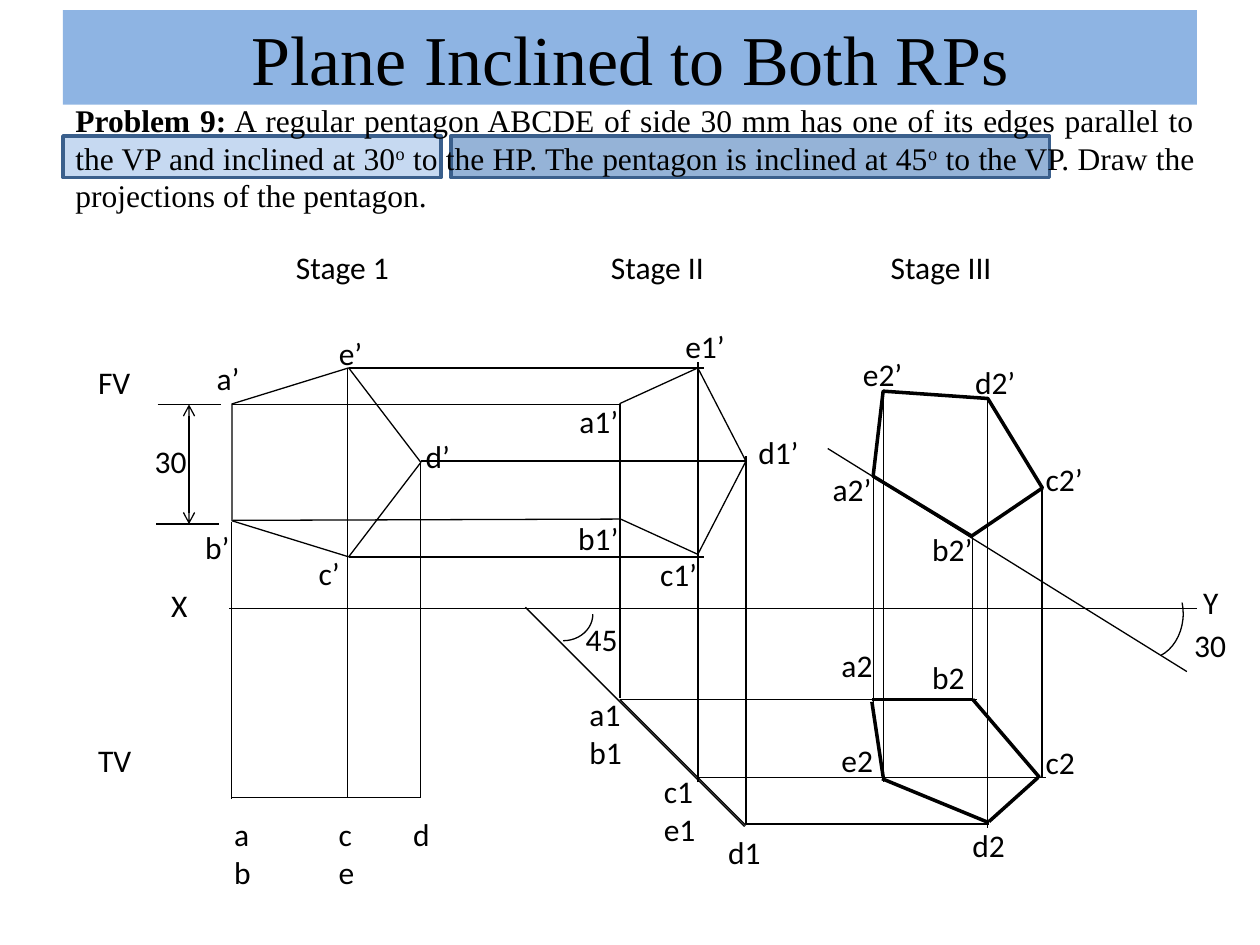
from lxml import etree
from pptx import Presentation
from pptx.dml.color import RGBColor
from pptx.enum import shapes, text
from pptx.oxml import ns
from pptx.util import Inches, Pt

THEME = {
    "ink": "000000", "banner": "8EB4E3", "outline": "3A5F8C",
    "pale": "C6D9F1", "deep": "95B3D7",
    "serif": "Times New Roman", "sans": "Calibri",
    "title": 40, "body": 18, "thin": 0.75, "thick": 2,
}

TITLE = "Plane Inclined to Both RPs"
PROBLEM = [
    ("Problem 9:", "bold"),
    (" A regular pentagon ABCDE of side 30 mm has one of its edges parallel "
     "to the VP and inclined at 30", ""),
    ("o", "raised"),
    (" to the HP. The pentagon is inclined at 45", ""),
    ("o", "raised"),
    (" to the VP. Draw the projections of the pentagon.", ""),
]
HIGHLIGHTS = [(0.5, 3, "pale"), (3.58, 4.75, "deep")]

LABELS = [
    ("Stage 1", 2.25, 1.92, 0.95), ("Stage II", 4.75, 1.92, 0.95),
    ("Stage III", 6.97, 1.92, 1.01),
    ("FV", 0.68, 2.83, 0.46), ("TV", 0.68, 5.83, 0.47),
    ("X", 1.26, 4.6, 0.56), ("Y", 9.45, 4.58, 0.55),
    ("30", 1.13, 3.46, 0.46), ("45", 4.55, 4.87, 0.52), ("30", 9.38, 4.92, 0.46),
    ("a’", 1.62, 2.8, 0.39), ("b’", 1.53, 4.14, 0.4), ("c’", 2.43, 4.35, 0.37),
    ("d’", 3.28, 3.42, 0.4), ("e’", 2.59, 2.6, 0.39),
    ("a1’", 4.5, 3.14, 0.51), ("b1’", 4.49, 4.07, 0.53), ("c1’", 5.14, 4.36, 0.5),
    ("d1’", 5.92, 3.39, 0.53), ("e1’", 5.34, 2.55, 0.52),
    ("a2’", 6.51, 3.68, 0.51), ("b2’", 7.3, 4.16, 0.53), ("c2’", 8.2, 3.6, 0.5),
    ("d2’", 7.64, 2.83, 0.53), ("e2’", 6.75, 2.77, 0.52),
    ("a2", 6.58, 5.08, 0.45), ("b2", 7.3, 5.17, 0.46), ("c2", 8.2, 5.85, 0.44),
    ("d2", 7.62, 6.51, 0.46), ("e2", 6.58, 5.83, 0.46),
]
TALL_LABELS = [
    ("a\nb", 1.76, 6.42, 0.34), ("c\ne", 2.59, 6.42, 0.33), ("d", 3.18, 6.42, 0.34),
    ("a1\nb1", 4.58, 5.47, 0.46), ("c1\ne1", 5.17, 6.08, 0.46),
    ("d1", 5.68, 6.56, 0.46),
]

PENTAGONS = [
    (1.84, 2.92, 1.5, 1.5, 90, "thin"),
    (4.68, 3.16, 1.48, 1, 90, "thin"),
    (6.84, 3.09, 1.48, 1, 31.3, "thick"),
]
ARCS = [
    (4.26, 4.64, 0.42, 0.47, ()),
    (8.74, 4.58, 0.72, 0.58, (151.697, 204.312)),
]

HORIZONTALS = [
    (4.83, 1.82, 9.5), (6.33, 1.84, 3.34),
    (3.21, 1.84, 4.92), (2.92, 2.77, 5.59), (3.66, 3.34, 5.92), (4.42, 2.77, 5.59),
    (4.16, 1.24, 1.74), (3.21, 1.25, 1.75),
    (5.55, 4.92, 7.75), (6.17, 5.55, 8.3), (6.54, 5.92, 7.85),
]
VERTICALS = [
    (3.34, 6.33, 3.67), (2.76, 6.33, 2.92), (1.84, 6.34, 4.14),
    (4.92, 5.54, 3.21), (5.54, 6.21, 2.87), (5.92, 6.54, 3.62),
    (6.93, 3.77, 5.58), (7.01, 3.11, 6.21), (7.84, 3.17, 6.57),
    (8.27, 3.87, 6.17), (7.72, 4.25, 5.55),
]
SLOPES = [
    (1.85, 4.13, 4.92, 4.12), (4.92, 5.55, 5.92, 6.55),
    (4.17, 4.82, 5.91, 6.56), (9.42, 5.33, 6.57, 3.56),
]
SIDE_DIMENSION = (1.5, 4.16, 1.5, 3.21)
TOP_VIEW = [
    (6.92, 5.55, 7.72, 5.55), (7.72, 5.55, 8.25, 6.17), (8.24, 6.17, 7.85, 6.52),
    (7.85, 6.53, 7, 6.18), (7.01, 6.17, 6.92, 5.57),
]

LABEL_FRAME = {"word_wrap": False, "auto_size": text.MSO_AUTO_SIZE.SHAPE_TO_FIT_TEXT}
PROBLEM_FRAME = {**LABEL_FRAME, "word_wrap": True}
TITLE_FRAME = {"word_wrap": True, "vertical_anchor": text.MSO_ANCHOR.MIDDLE}


def color(name):
    return RGBColor.from_string(THEME[name])


def apply(target, formats):
    for key, value in formats.items():
        setattr(target, key, value)


def add_run(paragraph, words, face, size, style=""):
    run = paragraph.add_run()
    run.text = words
    apply(run.font, {"name": THEME[face], "size": Pt(THEME[size]),
                     "bold": style == "bold"})
    run.font.color.rgb = color("ink")
    if style == "raised":
        run._r.get_or_add_rPr().set("baseline", "30000")


def add_outline(slide, kind, box, fill=None, line=None, weight="thin", rotation=0):
    shape = slide.shapes.add_shape(kind, *map(Inches, box))
    shape.shadow.inherit = False
    shape.rotation = rotation
    if fill:
        shape.fill.solid()
        shape.fill.fore_color.rgb = color(fill)
    else:
        shape.fill.background()
    if line:
        shape.line.color.rgb = color(line)
        shape.line.width = Pt(THEME[weight])
    else:
        shape.line.fill.background()
    return shape


def add_line(slide, ends, weight="thin", arrows=False):
    line = slide.shapes.add_connector(shapes.MSO_CONNECTOR.STRAIGHT, *map(Inches, ends))
    line.line.color.rgb = color("ink")
    line.line.width = Pt(THEME[weight])
    if arrows:
        for end in ("a:headEnd", "a:tailEnd"):
            etree.SubElement(line.line._ln, ns.qn(end), type="arrow")
    etree.SubElement(line._element.spPr, ns.qn("a:effectLst"))


def add_label(slide, words, left, top, width, height):
    frame = slide.shapes.add_textbox(*map(Inches, (left, top, width, height))).text_frame
    apply(frame, LABEL_FRAME)
    for index, point in enumerate(words.split("\n")):
        paragraph = frame.add_paragraph() if index else frame.paragraphs[0]
        add_run(paragraph, point, "sans", "body")


def add_heading(slide):
    rectangle = shapes.MSO_SHAPE.RECTANGLE
    banner = add_outline(slide, rectangle, (0.5, 0.08, 9, 0.75), "banner").text_frame
    apply(banner, TITLE_FRAME)
    banner.paragraphs[0].alignment = text.PP_ALIGN.CENTER
    add_run(banner.paragraphs[0], TITLE, "serif", "title")
    for left, width, fill in HIGHLIGHTS:
        add_outline(slide, rectangle, (left, 1.08, width, 0.33), fill, "outline", "thick")
    problem = slide.shapes.add_textbox(*map(Inches, (0.5, 0.75, 9.08, 1.01))).text_frame
    apply(problem, PROBLEM_FRAME)
    problem.paragraphs[0].alignment = text.PP_ALIGN.JUSTIFY
    for words, style in PROBLEM:
        add_run(problem.paragraphs[0], words, "serif", "body", style)


def add_drawing(slide):
    for *box, rotation, weight in PENTAGONS:
        add_outline(slide, shapes.MSO_SHAPE.REGULAR_PENTAGON, box, None, "ink",
                    weight, rotation)
    for *box, angles in ARCS:
        arc = add_outline(slide, shapes.MSO_SHAPE.ARC, box, None, "ink", rotation=90)
        for index, angle in enumerate(angles):
            arc.adjustments[index] = angle
    thin_lines = [(start, y, end, y) for y, start, end in HORIZONTALS]
    thin_lines += [(x, start, x, end) for x, start, end in VERTICALS]
    for ends in thin_lines + SLOPES:
        add_line(slide, ends)
    add_line(slide, SIDE_DIMENSION, arrows=True)
    for ends in TOP_VIEW:
        add_line(slide, ends, "thick")
    for labels, height in ((LABELS, 0.4), (TALL_LABELS, 0.71)):
        for label in labels:
            add_label(slide, *label, height)


def main():
    deck = Presentation()
    deck.slide_width, deck.slide_height = Inches(10), Inches(7.5)
    slide = deck.slides.add_slide(deck.slide_layouts[6])
    add_heading(slide)
    add_drawing(slide)
    deck.save("out.pptx")


if __name__ == "__main__":
    main()
